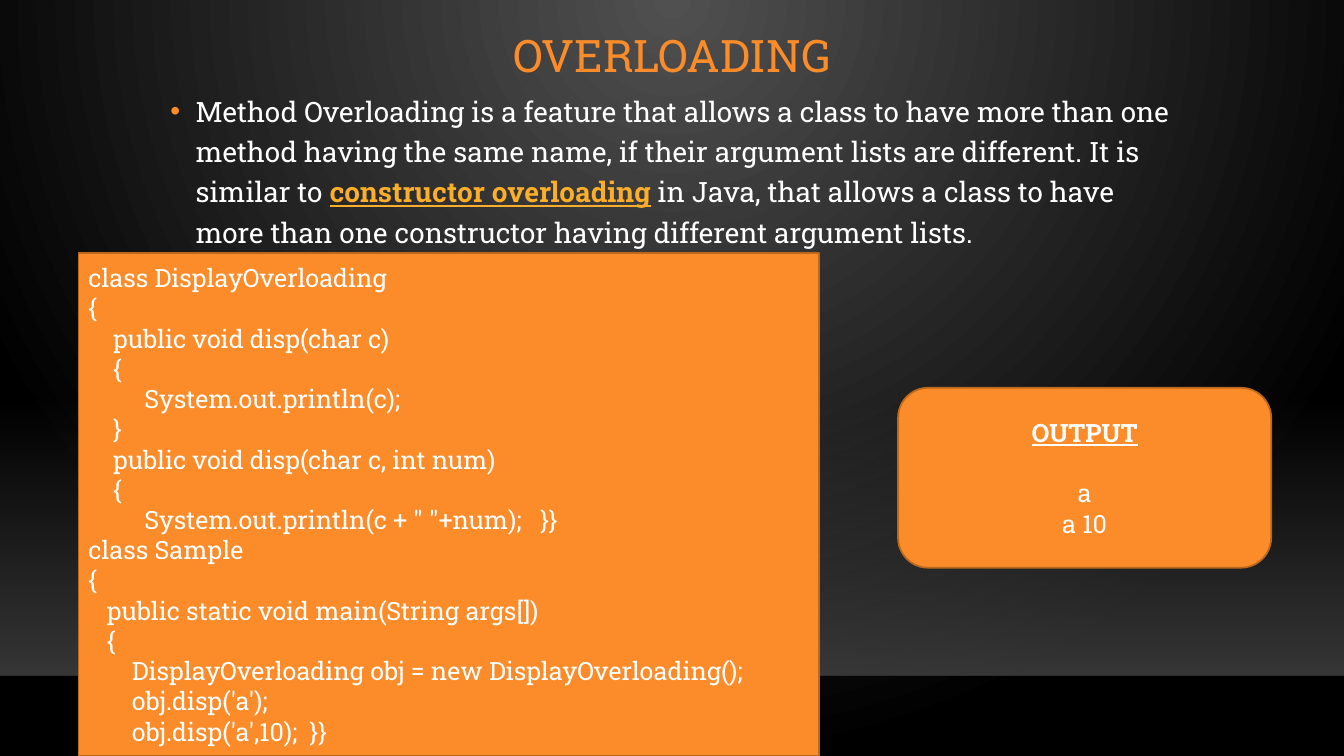
from dataclasses import dataclass

from lxml import etree
from pptx import Presentation
from pptx.dml.color import RGBColor
from pptx.enum import shapes, text
from pptx.oxml import parse_xml
from pptx.oxml.ns import nsdecls, qn
from pptx.util import Pt

FONT = "Roboto Slab"
ORANGE = RGBColor(0xFB, 0x8C, 0x29)
BROWN = RGBColor(0xBA, 0x68, 0x1E)
AMBER = RGBColor(0xFB, 0xAE, 0x29)
WHITE = RGBColor(0xFF, 0xFF, 0xFF)
GREY = RGBColor(0x50, 0x50, 0x50)
FLOOR_GREY = RGBColor(0x45, 0x45, 0x45)
BLACK = RGBColor(0, 0, 0)

SPACE = 4.45  # width of one code space at 18 pt


@dataclass
class Line:
    words: str
    indent: int = 0  # in code spaces
    heading: bool = False


@dataclass
class Panel:
    kind: shapes.MSO_SHAPE
    left: float
    top: float
    width: float
    height: float
    align: text.PP_ALIGN
    lines: list[Line]


CODE = Panel(shapes.MSO_SHAPE.RECTANGLE, 56, 180.5, 529, 359.5, text.PP_ALIGN.LEFT, [
    Line("class DisplayOverloading"),
    Line("{"),
    Line("public void disp(char c)", 4),
    Line("{", 4),
    Line("System.out.println(c);", 9),
    Line("}", 4),
    Line("public void disp(char c, int num)", 4),
    Line("{", 4),
    Line('System.out.println(c + " "+num);   }}', 9),
    Line("class Sample"),
    Line("{"),
    Line("public static void main(String args[])", 3),
    Line("{", 3),
    Line("DisplayOverloading obj = new DisplayOverloading();", 7),
    Line("obj.disp('a');", 7),
    Line("obj.disp('a',10);  }}", 7),
])
OUTPUT = Panel(shapes.MSO_SHAPE.ROUNDED_RECTANGLE, 641.5, 277, 266.5, 128.5,
               text.PP_ALIGN.CENTER,
               [Line("OUTPUT", heading=True), Line("a"), Line("a 10")])


def set_gradient(owner, stops: list[tuple[int, RGBColor, int]], direction: str) -> None:
    """Replace the solid fill in owner; a stop is position, colour, opacity (%)."""
    marks = "".join(
        f'<a:gs pos="{position * 1000}"><a:srgbClr val="{colour}">'
        f'<a:alpha val="{opacity * 1000}"/></a:srgbClr></a:gs>'
        for position, colour, opacity in stops)
    solid = owner.find(qn("a:solidFill"))
    owner.replace(solid, parse_xml(
        f'<a:gradFill {nsdecls("a")} rotWithShape="1"><a:gsLst>{marks}</a:gsLst>'
        f'{direction}</a:gradFill>'))


def style(span, size: float, colour: RGBColor, strong: bool = False) -> None:
    span.font.name = FONT
    span.font.size = Pt(size)
    span.font.color.rgb = colour
    span.font.bold = span.font.underline = strong


def place(box, left: float, top: float, width: float, height: float) -> None:
    box.left, box.top, box.width, box.height = Pt(left), Pt(top), Pt(width), Pt(height)


def draw_panel(page, panel: Panel) -> None:
    box = page.shapes.add_shape(panel.kind, Pt(panel.left), Pt(panel.top),
                                Pt(panel.width), Pt(panel.height))
    box.shadow.inherit = False
    box.fill.solid()
    box.fill.fore_color.rgb = ORANGE
    box.line.color.rgb = BROWN
    box.line.width = Pt(1.25)
    frame = box.text_frame
    frame.word_wrap = True
    frame.vertical_anchor = text.MSO_ANCHOR.MIDDLE
    frame.text = "\n".join(line.words for line in panel.lines)
    for para, line in zip(frame.paragraphs, panel.lines):
        para.alignment = panel.align
        para._p.get_or_add_pPr().set("marL", str(Pt(line.indent * SPACE)))
        if line.heading:
            para.space_after = Pt(21.6)
        style(para.runs[0], 18, WHITE, line.heading)


deck = Presentation()
deck.slide_width, deck.slide_height = Pt(960), Pt(540)
page = deck.slides.add_slide(deck.slide_layouts[1])

# Background glow
page.background.fill.solid()
set_gradient(page.element.find(".//" + qn("p:bgPr")),
             [(0, GREY, 100), (100, BLACK, 100)],
             '<a:path path="circle"><a:fillToRect l="43000" r="43000" b="100000"/></a:path>')

# Floor band and its edge
band = page.shapes.add_shape(shapes.MSO_SHAPE.RECTANGLE, 0, Pt(285), Pt(960), Pt(197.5))
band.shadow.inherit = False
band.line.fill.background()
band.fill.solid()
set_gradient(band._element.spPr, [(0, FLOOR_GREY, 0), (100, FLOOR_GREY, 80)],
             '<a:lin ang="5400000" scaled="0"/>')
edge = page.shapes.add_connector(shapes.MSO_CONNECTOR.STRAIGHT, 0, Pt(483), Pt(960), Pt(483))
edge.line.color.rgb = BLACK
edge.line.width = Pt(1)
edge_colour = edge._element.spPr.find(".//" + qn("a:srgbClr"))
etree.SubElement(edge_colour, qn("a:alpha"), val="20000")
etree.SubElement(edge._element.spPr, qn("a:effectLst"))

# Title and body stand in front of the band
title, body = page.shapes.title, page.placeholders[1]
for box in (title, body):
    page.shapes._spTree.append(box._element)
    box.text_frame.word_wrap = True
    box.text_frame.auto_size = text.MSO_AUTO_SIZE.NONE

place(title, 114.5, 0, 731.5, 83)
title.text_frame.text = "OVERLOADING"
title.text_frame.vertical_anchor = text.MSO_ANCHOR.MIDDLE
heading = title.text_frame.paragraphs[0]
heading.alignment = text.PP_ALIGN.CENTER
heading.line_spacing = 0.9
style(heading.runs[0], 32, ORANGE)

# Definition with its bullet
place(body, 114.5, 59, 731.5, 271.5)
body.text_frame.vertical_anchor = text.MSO_ANCHOR.TOP
para = body.text_frame.paragraphs[0]
para.line_spacing = 1.2
para.space_before = Pt(10)
for words, colour, strong in (
    ("Method Overloading is a feature that allows a class to have more than one method "
     "having the same name, if their argument lists are different. It is similar to\u00a0",
     WHITE, False),
    ("constructor overloading", AMBER, True),
    ("\u00a0in Java, that allows a class to have more than one constructor having "
     "different argument lists.", WHITE, False),
):
    span = para.add_run()
    span.text = words
    style(span, 20, colour, strong)
settings = para._p.get_or_add_pPr()
settings.set("marL", str(Pt(18)))
settings.set("indent", str(-Pt(18)))
bullet_colour = etree.SubElement(settings, qn("a:buClr"))
etree.SubElement(bullet_colour, qn("a:srgbClr"), val=str(ORANGE))
etree.SubElement(settings, qn("a:buFont"), typeface="Arial")
etree.SubElement(settings, qn("a:buChar"), char="\u2022")

# Code and its output
for panel in (CODE, OUTPUT):
    draw_panel(page, panel)

deck.save("out.pptx")
